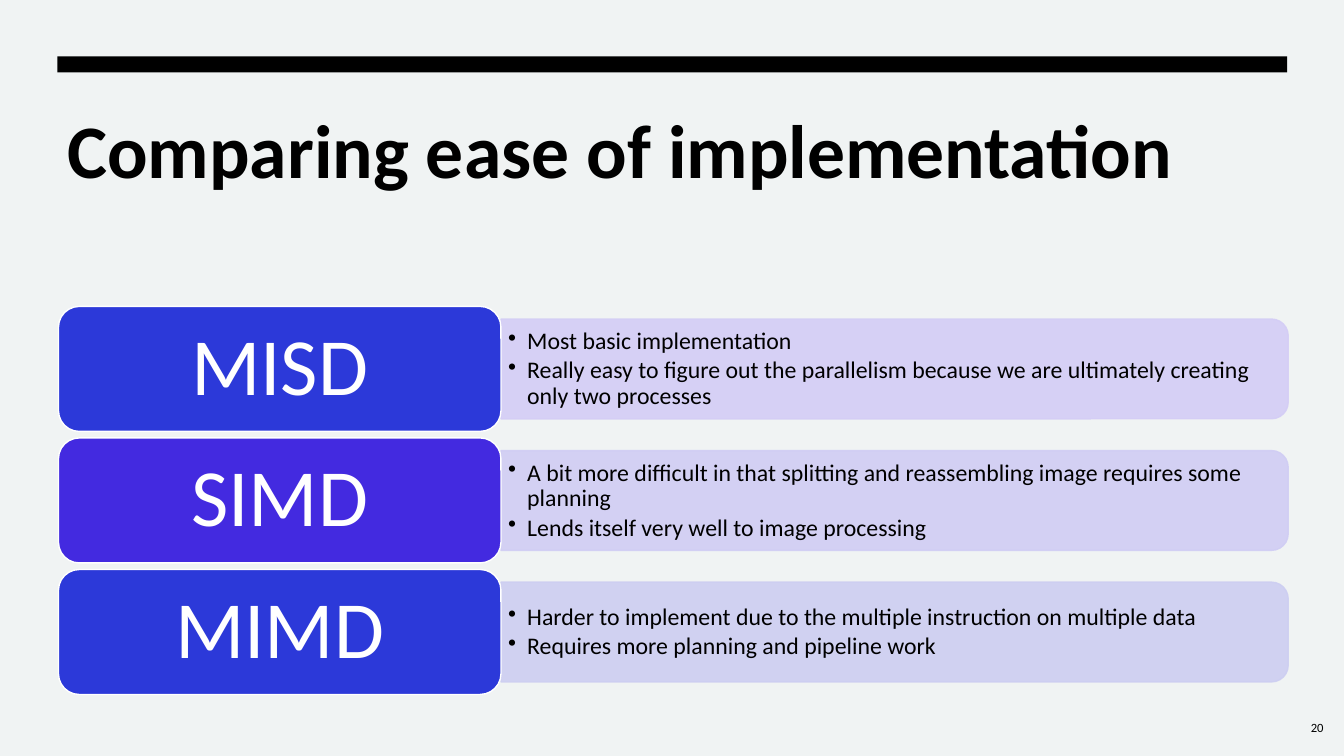
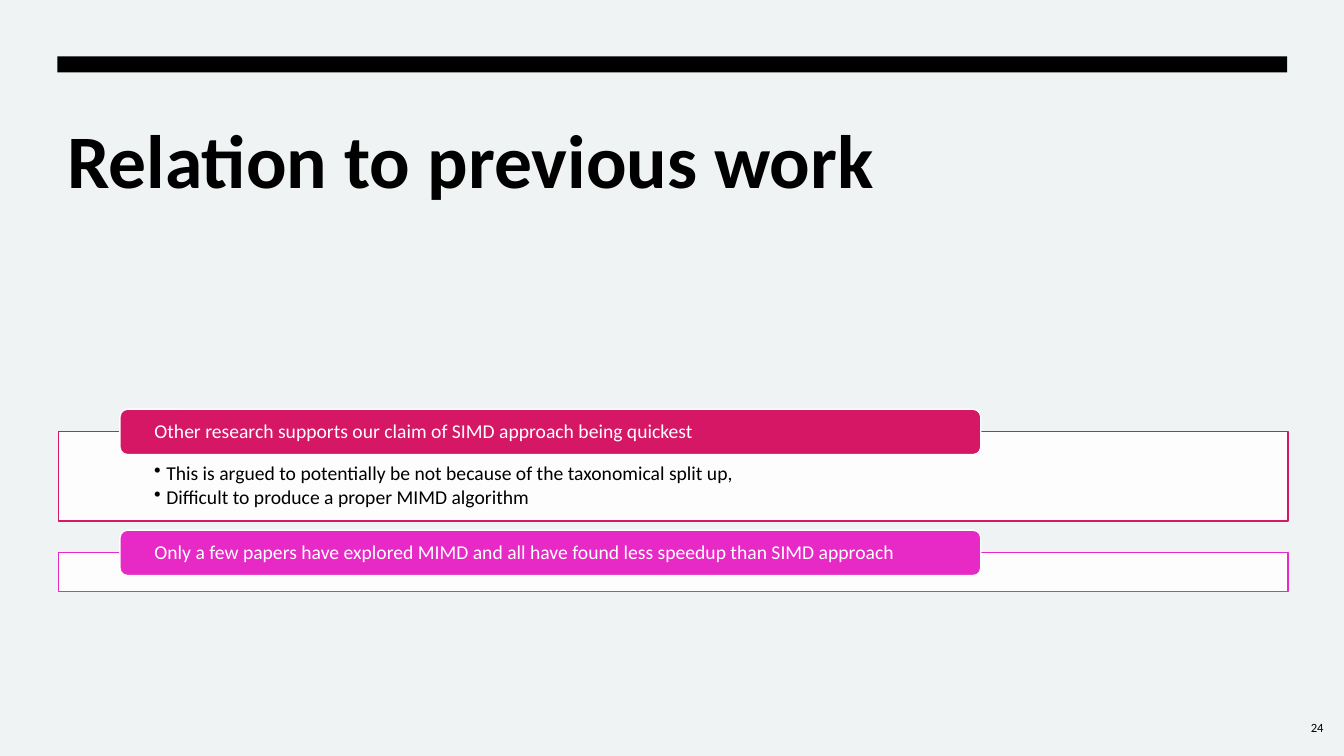
import lxml.etree
import pptx
import pptx.dml.color
import pptx.enum.shapes
import pptx.enum.text
import pptx.oxml.ns
import pptx.util

SCALE = 9144
HUES = {
    "back": "F0F3F3", "ink": "000000", "white": "FFFFFF",
    "blue": "2C39D9", "violet": "432AE0", "rose": "D51765", "pink": "E729C6",
    "lilac": "D4CDF6", "mauve": "D0CDF3", "haze": "CDCEF1",
}
FONTS = {
    "title": {"size": 54, "bold": True},
    "number": {"size": 9},
    "label": {"size": 58},
    "point": {"size": 17},
    "note": {"size": 14},
}
KINDS = pptx.enum.shapes.MSO_SHAPE
SIDES = pptx.enum.text.PP_ALIGN
HOLDS = pptx.enum.text.MSO_ANCHOR
QN = pptx.oxml.ns.qn


def px(*vals):
    """Turn px lengths into EMU."""
    return [pptx.util.Emu(round(val * SCALE)) for val in vals]


def hue(name):
    """Look up a colour by name."""
    return pptx.dml.color.RGBColor.from_string(HUES[name])


def fade(shape, share):
    """Set the opacity of every solid colour of a shape, in percent."""
    for tag in shape.fill._xPr.iter(QN("a:srgbClr")):
        lxml.etree.SubElement(tag, QN("a:alpha"), val=str(share * 1000))


def block(slide, kind, box, fill, line=None, turn=0):
    """Add a preset shape without shadow."""
    shape = slide.shapes.add_shape(kind, *px(*box))
    shape.shadow.inherit = False
    shape.rotation = turn
    shape.fill.solid()
    shape.fill.fore_color.rgb = hue(fill)
    if line:
        shape.line.color.rgb = hue(line)
        shape.line.width = pptx.util.Pt(1)
    else:
        shape.line.fill.background()
    return shape


def write(shape, lines, font, tint="ink", pads=(10, 5), side=SIDES.LEFT,
          hold=HOLDS.MIDDLE, pitch=0.9, after=0, hang=0):
    """Fill a shape with styled paragraphs, bulleted when hang is set."""
    frame = shape.text_frame
    wide, high = px(*pads)
    form = {"word_wrap": True, "vertical_anchor": hold,
            "margin_left": wide, "margin_right": wide,
            "margin_top": high, "margin_bottom": high}
    for key, val in form.items():
        setattr(frame, key, val)
    face = {"name": "Calibri", **FONTS[font]}
    face["size"] = pptx.util.Pt(face["size"])
    form = {"alignment": side, "line_spacing": pitch,
            "space_after": pptx.util.Pt(after)}
    for num, line in enumerate(lines):
        para = frame.add_paragraph() if num else frame.paragraphs[0]
        for key, val in form.items():
            setattr(para, key, val)
        run = para.add_run()
        run.text = line
        for key, val in face.items():
            setattr(run.font, key, val)
        run.font.color.rgb = hue(tint)
        if hang:
            props = para._p.get_or_add_pPr()
            props.set("marL", str(hang * SCALE))
            props.set("indent", str(-hang * SCALE))
            lxml.etree.SubElement(props, QN("a:buChar"), char="•")


def base(deck, title, number, pitch):
    """Add a slide with its background, bar, title and number."""
    slide = deck.slides.add_slide(deck.slide_layouts[6])
    fill = slide.background.fill
    fill.solid()
    fill.fore_color.rgb = hue("back")
    block(slide, KINDS.RECTANGLE, (57, 56, 1220, 16), "ink")
    head = slide.shapes.add_textbox(*px(57, 107, 1220, 179))
    write(head, [title], "title", hold=HOLDS.TOP, pitch=pitch)
    foot = slide.shapes.add_textbox(*px(1253, 702, 70, 40))
    write(foot, [number], "number", side=SIDES.RIGHT, pitch=1.0)
    return slide


def row(slide, box, name, fill, tint, lines):
    """Add a label with a pale panel of points on its right."""
    left, top, wide, high = box
    split = 439
    long, thick = wide - split, 99
    mid = left + split + long / 2
    panel = (mid - thick / 2, top + (high - long) / 2, thick, long)
    fade(block(slide, KINDS.ROUND_2_SAME_RECTANGLE, panel, tint, tint, 90), 90)
    area = (left + split, top + 18, long - 5, high - 35)
    text = slide.shapes.add_textbox(*px(*area))
    write(text, lines, "point", pads=(7, 4), after=2.5, hang=19)
    label = block(slide, KINDS.ROUNDED_RECTANGLE, (left, top, split, high),
                  fill, "white")
    write(label, [name], "label", "white", (24, 12), SIDES.CENTER)


def stack(slide, box, rows):
    """Spread rows evenly down a box."""
    left, top, wide, high = box
    tall = 124
    step = (high - tall) / (len(rows) - 1)
    for num, item in enumerate(rows):
        row(slide, (left, top + num * step, wide, tall), *item)


def card(slide, box, head, tint, lines):
    """Add an outlined card with a heading tab over its top edge."""
    left, top, wide, high = box
    body = block(slide, KINDS.RECTANGLE, box, "white")
    fade(body, 90)
    body.line.color.rgb = hue(tint)
    body.line.width = pptx.util.Pt(1)
    if lines:
        write(body, lines, "note", pads=(95, 32), hold=HOLDS.TOP,
              after=2, hang=12)
        body.text_frame.margin_bottom = px(11)[0]
    tab = block(slide, KINDS.ROUNDED_RECTANGLE,
                (left + 61, top - 22, wide * 0.7, 45), tint, "white")
    write(tab, [head], "note", "white", (32, 0))


def main():
    """Build and save the slides."""
    deck = pptx.Presentation()
    deck.slide_width, deck.slide_height = px(1333.33, 750)

    slide = base(deck, "Comparing ease of implementation", "20", 0.9)
    stack(slide, (58, 304, 1220, 385), [
        ("MISD", "blue", "lilac", [
            "Most basic implementation",
            "Really easy to figure out the parallelism because we are "
            "ultimately creating only two processes"]),
        ("SIMD", "violet", "mauve", [
            "A bit more difficult in that splitting and reassembling image "
            "requires some planning",
            "Lends itself very well to image processing"]),
        ("MIMD", "blue", "haze", [
            "Harder to implement due to the multiple instruction on "
            "multiple data",
            "Requires more planning and pipeline work"]),
    ])

    slide = base(deck, "Relation to previous work", "24", 1.0)
    card(slide, (58, 428, 1220, 89),
         "Other research supports our claim of SIMD approach being quickest",
         "rose",
         ["This is argued to potentially be not because of the taxonomical "
          "split up,",
          "Difficult to produce a proper MIMD algorithm"])
    card(slide, (58, 548, 1220, 39),
         "Only a few papers have explored MIMD and all have found less "
         "speedup than SIMD approach", "pink", [])

    deck.save("out.pptx")


if __name__ == "__main__":
    main()
